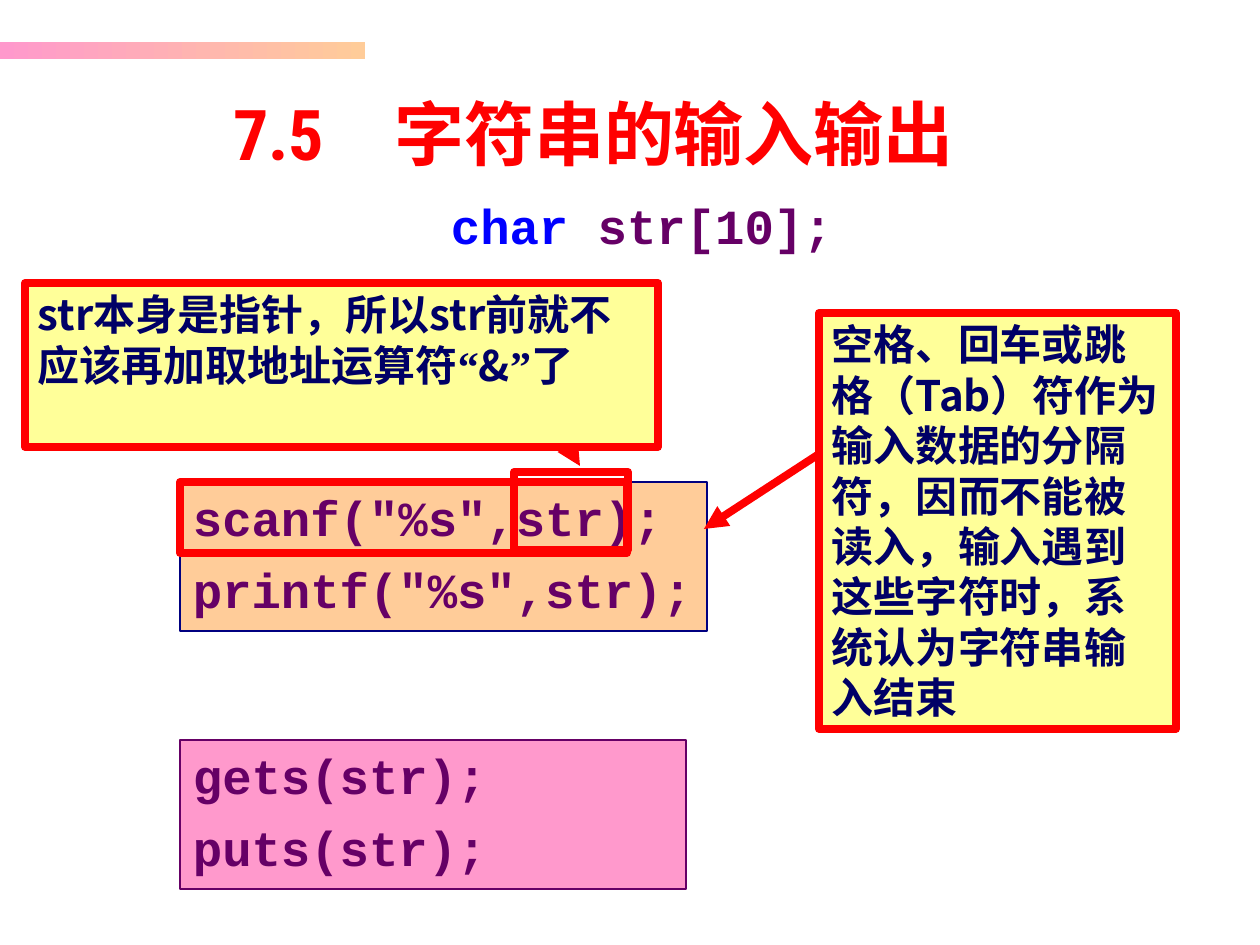
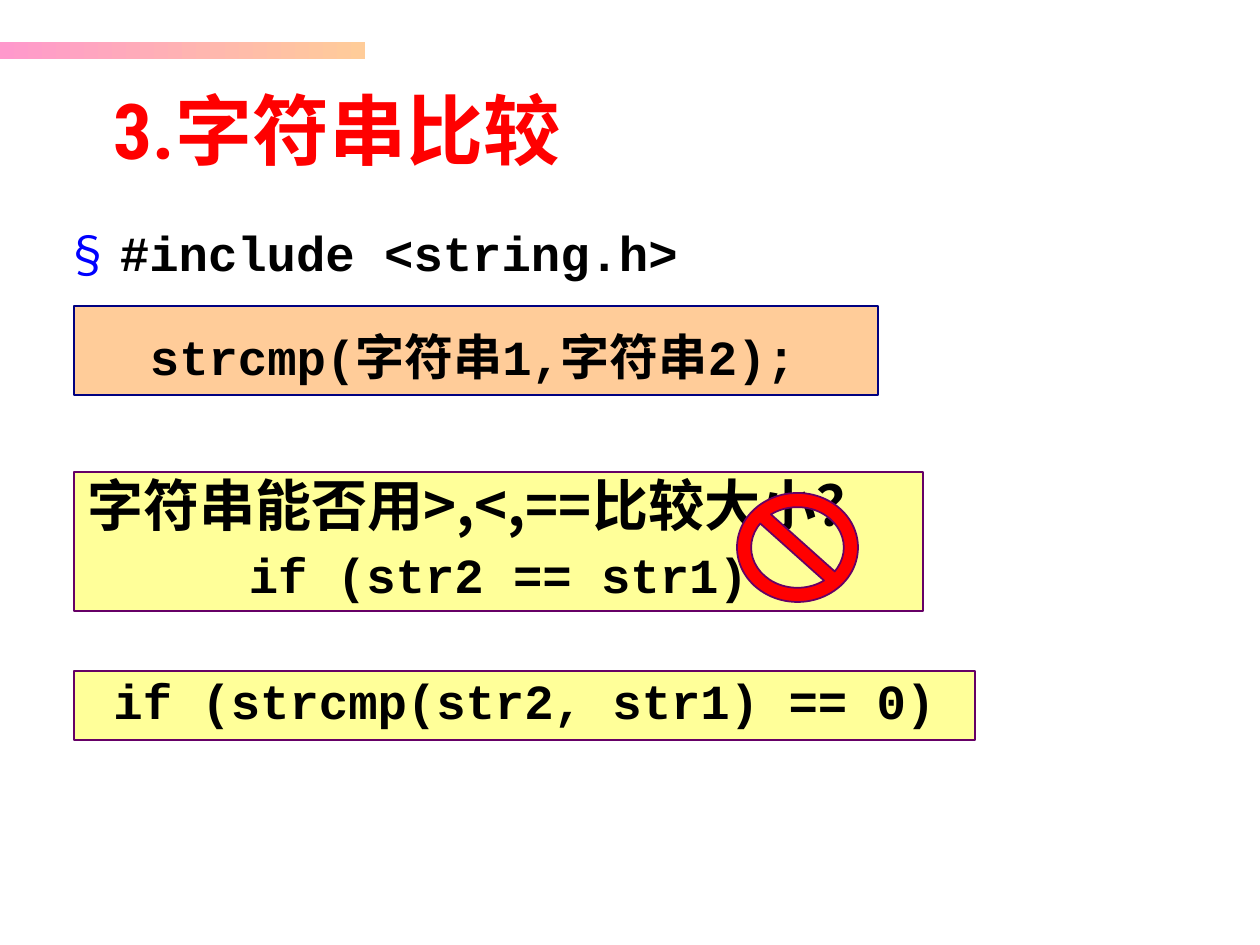
from lxml import etree
from pptx import Presentation
from pptx import util as u
from pptx.dml.color import RGBColor
from pptx.enum import shapes, text
from pptx.oxml import ns

PX = 914400 / 126
RED = RGBColor(0xFF, 0, 0)
BLUE = RGBColor(0, 0, 0xFF)
BLACK = RGBColor(0, 0, 0)
NAVY = RGBColor(0, 0, 0x80)
INK = RGBColor(0, 0, 0x66)
PURPLE = RGBColor(0x66, 0, 0x66)
PEACH = RGBColor(0xFF, 0xCC, 0x99)
PINK = RGBColor(0xFF, 0x99, 0xCC)
YELLOW = RGBColor(0xFF, 0xFF, 0x99)
CODE = "Courier New"
CHINESE = "Noto Sans CJK SC"
QUOTE = "Times New Roman"
HEADING = "Roboto Condensed"
RECTANGLE = shapes.MSO_SHAPE.RECTANGLE
LEFT, CENTER = text.PP_ALIGN.LEFT, text.PP_ALIGN.CENTER


def px(*values):
    return [u.Emu(round(value * PX)) for value in values]


def style_font(font, name, size, color):
    font.size = u.Pt(size)
    font.bold = True
    font.color.rgb = color
    font.name = name
    east_asian = etree.SubElement(font._element, ns.qn("a:ea"))
    east_asian.set("typeface", name)


def add_block(page, area, fill=None, line=None, width=0.75, kind=RECTANGLE):
    box = page.shapes.add_shape(kind, *px(*area))
    box.shadow.inherit = False
    if fill is None:
        box.fill.background()
    else:
        box.fill.solid()
        box.fill.fore_color.rgb = fill
    if line is None:
        box.line.fill.background()
    else:
        box.line.color.rgb = line
        box.line.width = u.Pt(width)
    return box


def prepare_frame(box, left=13):
    frame = box.text_frame
    frame.word_wrap = True
    frame.auto_size = text.MSO_AUTO_SIZE.NONE
    frame.vertical_anchor = text.MSO_ANCHOR.TOP
    frame.margin_left, frame.margin_top, frame.margin_right, frame.margin_bottom = px(left, 6, 13, 6)
    return frame


def add_para(frame, content, name=CODE, size=28, color=BLACK, align=LEFT, spacing=1.0):
    first = not frame.text
    para = frame.paragraphs[0] if first else frame.add_paragraph()
    para.text = content
    para.alignment = align
    para.line_spacing = spacing
    para.space_before = u.Pt(0 if first else 7)
    style_font(para.font, name, size, color)
    return para


def add_spans(frame, spans):
    para = frame.paragraphs[0]
    para.alignment = LEFT
    for content, name, size, color in spans:
        span = para.add_run()
        span.text = content
        style_font(span.font, name, size, color)


def add_code(page, area, lines, fill, line):
    frame = prepare_frame(add_block(page, area, fill, line))
    for content in lines:
        add_para(frame, content, color=PURPLE)


def add_arrow(page, *ends):
    arrow = page.shapes.add_connector(shapes.MSO_CONNECTOR.STRAIGHT, *px(*ends))
    arrow.line.color.rgb = RED
    arrow.line.width = u.Pt(4.5)
    line = arrow.line._get_or_add_ln()
    etree.SubElement(line, ns.qn("a:tailEnd")).set("type", "triangle")
    etree.SubElement(arrow._element.spPr, ns.qn("a:effectLst"))


def add_bullet(para, mark, color):
    properties = para._p.get_or_add_pPr()
    indent = px(56)[0]
    properties.set("marL", str(indent))
    properties.set("indent", str(-indent))
    bullet_color = etree.SubElement(properties, ns.qn("a:buClr"))
    etree.SubElement(bullet_color, ns.qn("a:srgbClr")).set("val", str(color))
    etree.SubElement(properties, ns.qn("a:buFont")).set("typeface", CHINESE)
    etree.SubElement(properties, ns.qn("a:buChar")).set("char", mark)


def start_page(deck, title, area, size, align=LEFT, spacing=1.0, anchor=text.MSO_ANCHOR.MIDDLE):
    page = deck.slides.add_slide(deck.slide_layouts[5])
    band = add_block(page, (0, 42, 365, 17), PINK)
    band.fill.gradient()
    band.fill.gradient_angle = 0
    for stop, color, position in zip(band.fill.gradient_stops, (PINK, PEACH), (0, 1)):
        stop.color.rgb = color
        stop.position = position
    heading = page.shapes.title
    heading.left, heading.top, heading.width, heading.height = px(*area)
    frame = prepare_frame(heading)
    frame.vertical_anchor = anchor
    add_para(frame, title, HEADING, size, RED, align, spacing)
    return page


def build_input_output(deck):
    page = start_page(deck, "7.5　字符串的输入输出", (158, 101, 871, 81), 40,
                      CENTER, 0.8, text.MSO_ANCHOR.TOP)
    add_code(page, (180, 482, 527, 149), ['scanf("%s",str);', 'printf("%s",str);'], PEACH, NAVY)
    declaration = page.shapes.add_textbox(*px(438, 190, 417, 89))
    add_spans(prepare_frame(declaration),
              [("char", CODE, 28, BLUE), (" str[10];", CODE, 28, PURPLE)])
    add_code(page, (180, 740, 506, 149), ["gets(str);", "puts(str);"], PINK, PURPLE)
    add_arrow(page, 819, 454, 704, 529)
    separators = add_block(page, (819, 313, 357, 416), YELLOW, RED, 4.5)
    add_para(prepare_frame(separators),
             "空格、回车或跳格（Tab）符作为输入数据的分隔符，因而不能被读入，输入遇到这些字符时，系统认为字符串输入结束",
             CHINESE, 24, INK)
    for area in ((180, 482, 447, 71), (514, 472, 114, 78)):
        add_block(page, area, line=RED, width=4.5)
    add_arrow(page, 542, 404, 580, 466)
    pointer = add_block(page, (25, 283, 633, 164), YELLOW, RED, 4.5)
    pieces = [("str本身是指针，所以str前就不应该再加取地址运算符", CHINESE), ("“", QUOTE),
              ("&", CHINESE), ("”", QUOTE), ("了", CHINESE)]
    add_spans(prepare_frame(pointer), [(content, name, 24, INK) for content, name in pieces])


def build_comparison(deck):
    page = start_page(deck, "3.字符串比较", (101, 72, 1071, 113), 44)
    header = prepare_frame(page.shapes.add_textbox(*px(59, 214, 1166, 79)), left=5)
    add_bullet(header.paragraphs[0], "§", BLUE)
    add_para(header, "#include <string.h>", spacing=1.05)
    signature = add_block(page, (74, 306, 804, 89), PEACH, NAVY)
    add_para(prepare_frame(signature, left=76), "strcmp(字符串1,字符串2);", spacing=1.25)
    question = prepare_frame(add_block(page, (74, 472, 849, 139), YELLOW, PURPLE))
    add_para(question, "字符串能否用>,<,==比较大小？", CHINESE, 32, spacing=0.9)
    add_para(question, "if (str2 == str1)", align=CENTER, spacing=0.9)
    answer = add_block(page, (74, 671, 901, 69), YELLOW, PURPLE)
    add_para(prepare_frame(answer), "if (strcmp(str2, str1) == 0)", align=CENTER, spacing=0.9)
    forbidden = add_block(page, (737, 493, 121, 109), RED, PURPLE, 1, shapes.MSO_SHAPE.NO_SYMBOL)
    forbidden.adjustments[0] = 0.13


def main():
    deck = Presentation()
    deck.slide_width, deck.slide_height = px(1260, 945)
    build_input_output(deck)
    build_comparison(deck)
    deck.save("out.pptx")


if __name__ == "__main__":
    main()
